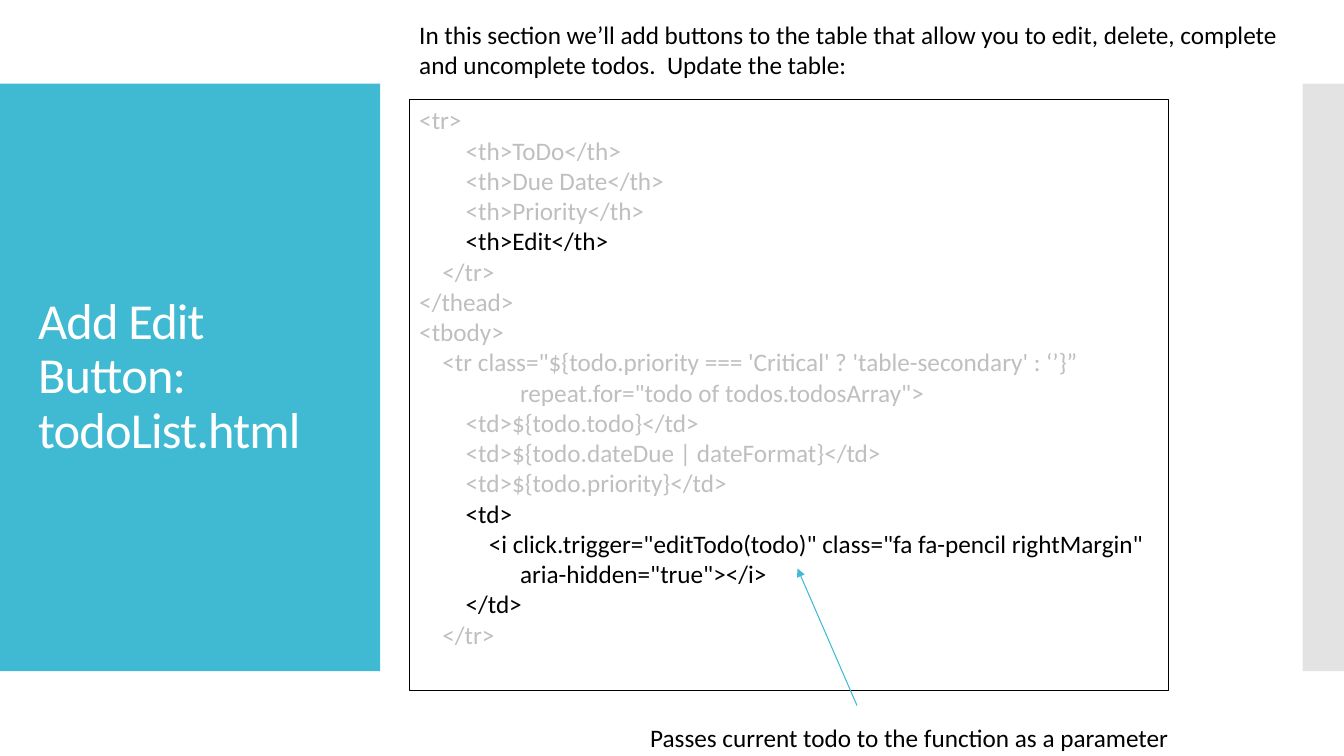
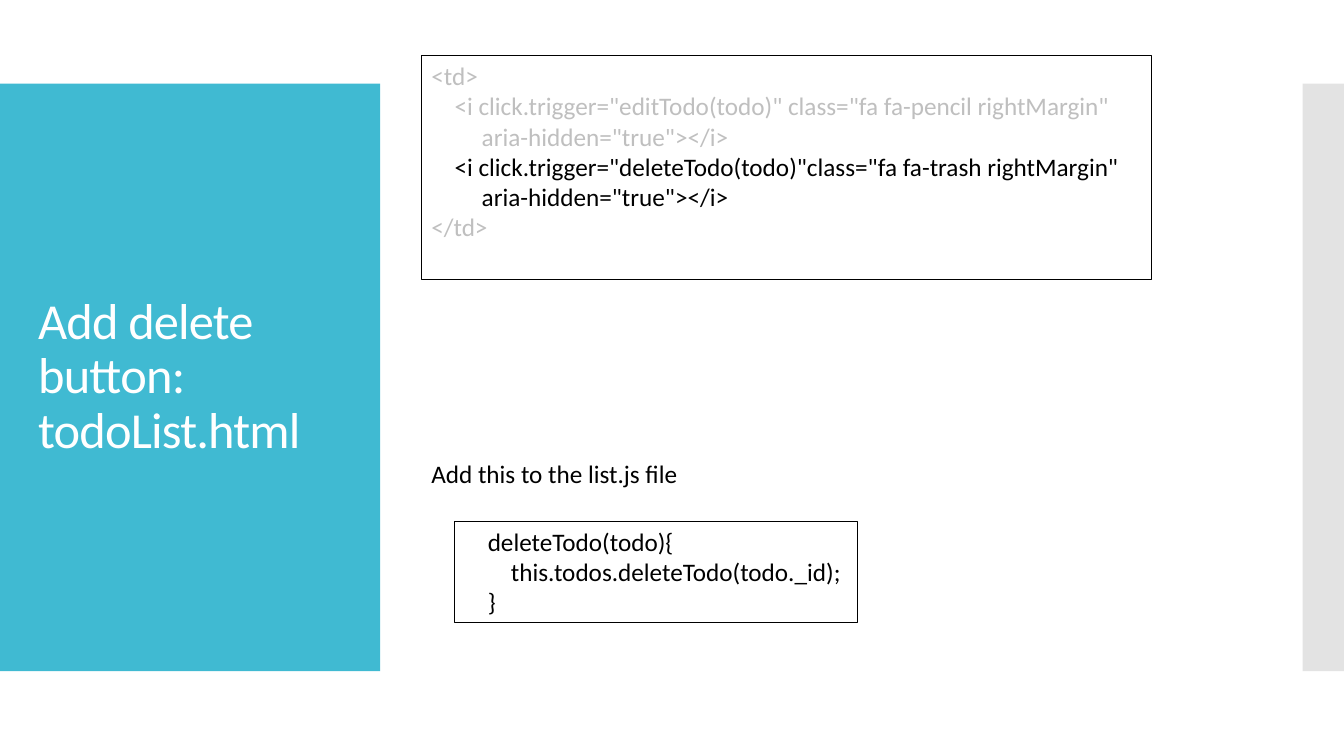
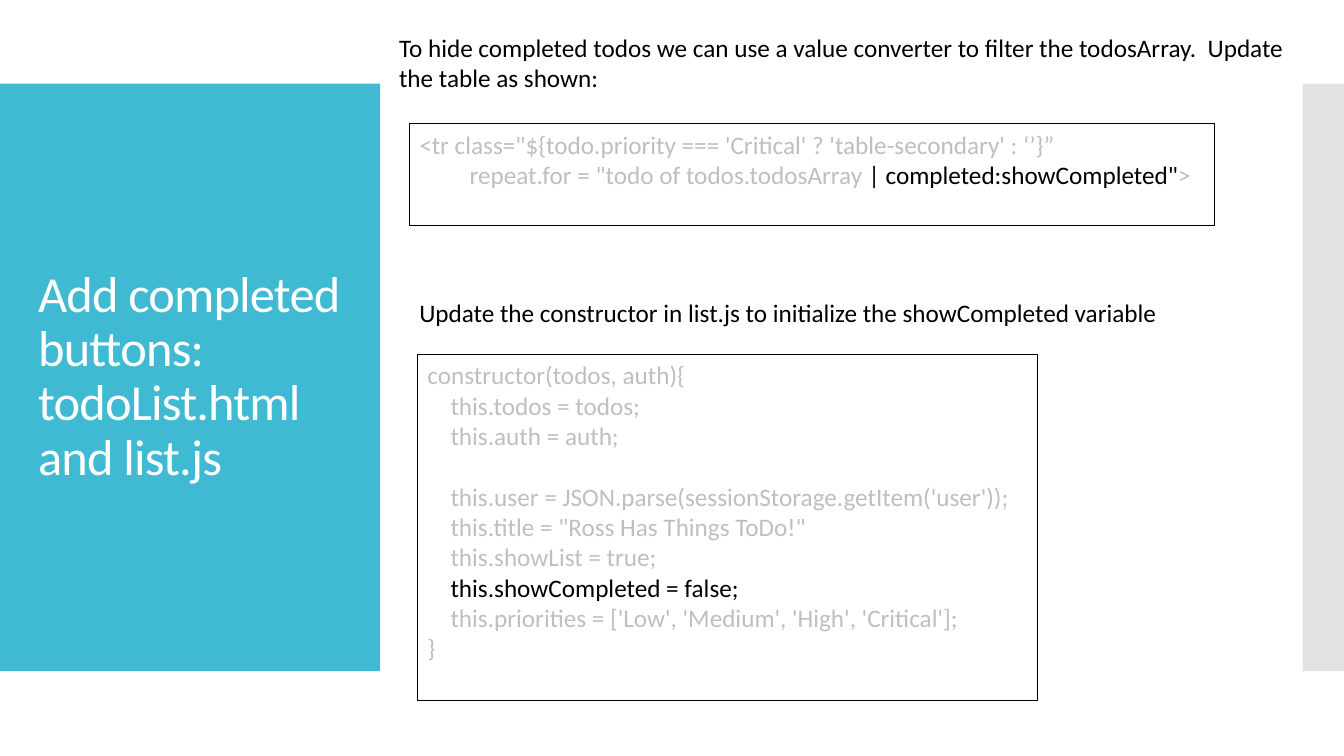
from pptx import Presentation
from pptx.dml.color import RGBColor as RGB
from pptx.enum.shapes import MSO_CONNECTOR as CONN, MSO_SHAPE as SHAPE
from pptx.enum.text import MSO_ANCHOR as ANCHOR
from pptx.oxml.ns import qn
from pptx.util import Pt
from lxml.etree import SubElement as Sub

PX = 9144
TEAL = RGB(0x40, 0xBA, 0xD2)
PALE = RGB(0xC8, 0xC8, 0xC8)
GREY = RGB(0xBF, 0xBF, 0xBF)
BLACK = RGB(0, 0, 0)
WHITE = RGB(255, 255, 255)
FONT = "Calibri"
STEP = 23
TAB = 50


def band(slide, left, width, color):
    bar = slide.shapes.add_shape(SHAPE.RECTANGLE, left * PX, 83 * PX, width * PX, 583 * PX)
    bar.shadow.inherit = False
    bar.fill.solid()
    bar.fill.fore_color.rgb = color
    bar.line.fill.background()
    return bar


def write(slide, place, rows, size=18, edge=False):
    box = slide.shapes.add_textbox(*[n * PX for n in place])
    if edge:
        box.line.color.rgb = BLACK
        box.line.width = Pt(0.75)
    frame = box.text_frame
    frame.word_wrap = True
    for i, (dent, tone, *parts) in enumerate(rows):
        para = frame.add_paragraph() if i else frame.paragraphs[0]
        para.font.name = FONT
        para.font.size = Pt(size)
        para.font.color.rgb = tone
        if dent:
            para._p.get_or_add_pPr().set("marL", str(dent * PX))
        if len(parts) == 1:
            para.text = parts[0]
            continue
        for color, words in parts:
            run = para.add_run()
            run.text = words
            run.font.color.rgb = color
    return frame


EDIT = [
    (0, GREY, "<tr>"),
    (2 * STEP, GREY, "<th>ToDo</th>"),
    (2 * STEP, GREY, "<th>Due Date</th>"),
    (2 * STEP, GREY, "<th>Priority</th>"),
    (2 * STEP, BLACK, "<th>Edit</th>"),
    (STEP, GREY, "</tr>"),
    (0, GREY, "</thead>"),
    (0, GREY, "<tbody>"),
    (STEP, GREY, "<tr class=\"${todo.priority === 'Critical' ? 'table-secondary' : ‘’}”"),
    (2 * TAB, GREY, 'repeat.for="todo of todos.todosArray">'),
    (2 * STEP, GREY, "<td>${todo.todo}</td>"),
    (2 * STEP, GREY, "<td>${todo.dateDue | dateFormat}</td>"),
    (2 * STEP, GREY, "<td>${todo.priority}</td>"),
    (2 * STEP, BLACK, "<td>"),
    (3 * STEP, BLACK, '<i click.trigger="editTodo(todo)" class="fa fa-pencil rightMargin"'),
    (2 * TAB, BLACK, 'aria-hidden="true"></i>'),
    (2 * STEP, BLACK, "</td>"),
    (STEP, GREY, "</tr>"),
]
TRASH = [
    (0, GREY, "<td>"),
    (STEP, GREY, '<i click.trigger="editTodo(todo)" class="fa fa-pencil rightMargin"'),
    (TAB, GREY, 'aria-hidden="true"></i>'),
    (STEP, BLACK, '<i click.trigger="deleteTodo(todo)"class="fa fa-trash rightMargin"'),
    (TAB, BLACK, 'aria-hidden="true"></i>'),
    (0, GREY, "</td>"),
]
ERASE = [
    (STEP, BLACK, "deleteTodo(todo){"),
    (2 * STEP, BLACK, "this.todos.deleteTodo(todo._id);"),
    (STEP, BLACK, "}"),
]
FILTER = [
    (0, GREY, "<tr class=\"${todo.priority === 'Critical' ? 'table-secondary' : ‘’}”"),
    (TAB, GREY, (GREY, 'repeat.for = "todo of todos.todosArray '),
     (BLACK, '| completed:showCompleted"'), (GREY, ">")),
]
SETUP = [
    (0, GREY, "constructor(todos, auth){"),
    (STEP, GREY, "this.todos = todos;"),
    (STEP, GREY, "this.auth = auth;"),
    (STEP, GREY, "this.user = JSON.parse(sessionStorage.getItem('user'));"),
    (STEP, GREY, 'this.title = "Ross Has Things ToDo!"'),
    (STEP, GREY, "this.showList = true;"),
    (STEP, BLACK, "this.showCompleted = false;"),
    (STEP, GREY, "this.priorities = ['Low', 'Medium', 'High', 'Critical'];"),
    (0, GREY, "}"),
]

PAGES = [
    ("Add Edit Button: todoList.html", [
        ((406, 14, 887, 71), "In this section we’ll add buttons to the table that allow you to edit, "
         "delete, complete\nand uncomplete todos.  Update the table:"),
        ((406, 99, 753, 586), EDIT),
        ((635, 712, 545, 40), "Passes current todo to the function as a parameter"),
    ]),
    ("Add delete button: todoList.html", [
        ((418, 55, 724, 222), TRASH),
        ((451, 517, 400, 101), ERASE),
        ((418, 450, 270, 40), "Add this to the list.js file"),
    ]),
    ("Add completed buttons: todoList.html and list.js", [
        ((386, 27, 917, 71), "To hide completed todos we can use a value converter to filter the "
         "todosArray.  Update\nthe table as shown:"),
        ((406, 123, 799, 101), FILTER),
        ((406, 290, 769, 40), "Update the constructor in list.js to initialize the showCompleted variable"),
        ((414, 352, 615, 343), SETUP),
    ]),
]

deck = Presentation()
deck.slide_width = 1333 * PX
deck.slide_height = 750 * PX

for title, boxes in PAGES:
    slide = deck.slides.add_slide(deck.slide_layouts[6])
    band(slide, 0, 377, TEAL)
    side = band(slide, 1292, 41, PALE)
    tint = side.fill._xPr.find(qn("a:solidFill"))[0]
    Sub(tint, qn("a:alpha"), val="50000")
    head = write(slide, (28, 123, 322, 503), [(0, WHITE, title)], size=36)
    head.vertical_anchor = ANCHOR.MIDDLE
    para = head.paragraphs[0]
    para.line_spacing = 0.9
    para.runs[0]._r.get_or_add_rPr().set("spc", "-60")
    for place, body in boxes:
        code = isinstance(body, list)
        frame = write(slide, place, body if code else [(0, BLACK, body)], edge=code)
        if body is SETUP:
            frame.paragraphs[3].space_before = Pt(22)

arrow = deck.slides[0].shapes.add_connector(
    CONN.STRAIGHT, 850 * PX, 700 * PX, 791 * PX, 564 * PX)
arrow.line.color.rgb = TEAL
arrow.line.width = Pt(0.75)
Sub(arrow.line._get_or_add_ln(), qn("a:tailEnd"), type="triangle")
Sub(arrow._element.spPr, qn("a:effectLst"))

deck.save("out.pptx")
